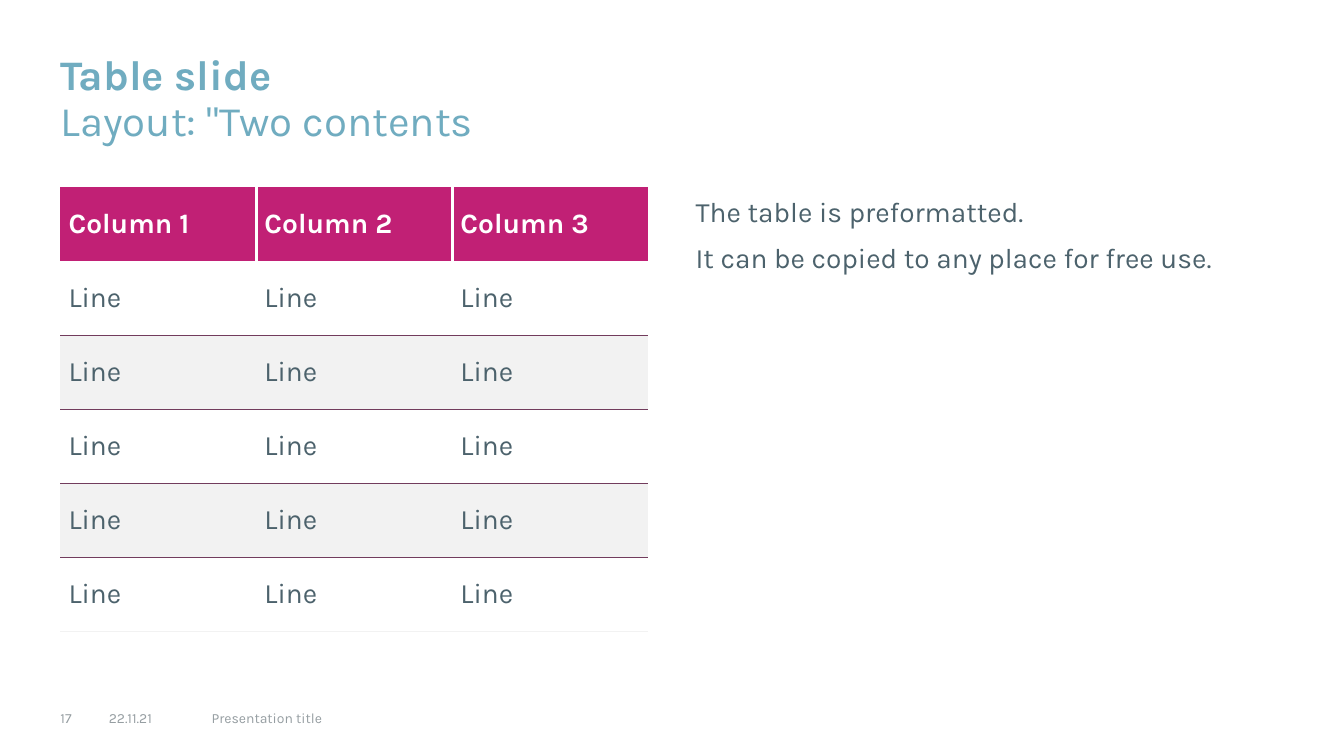
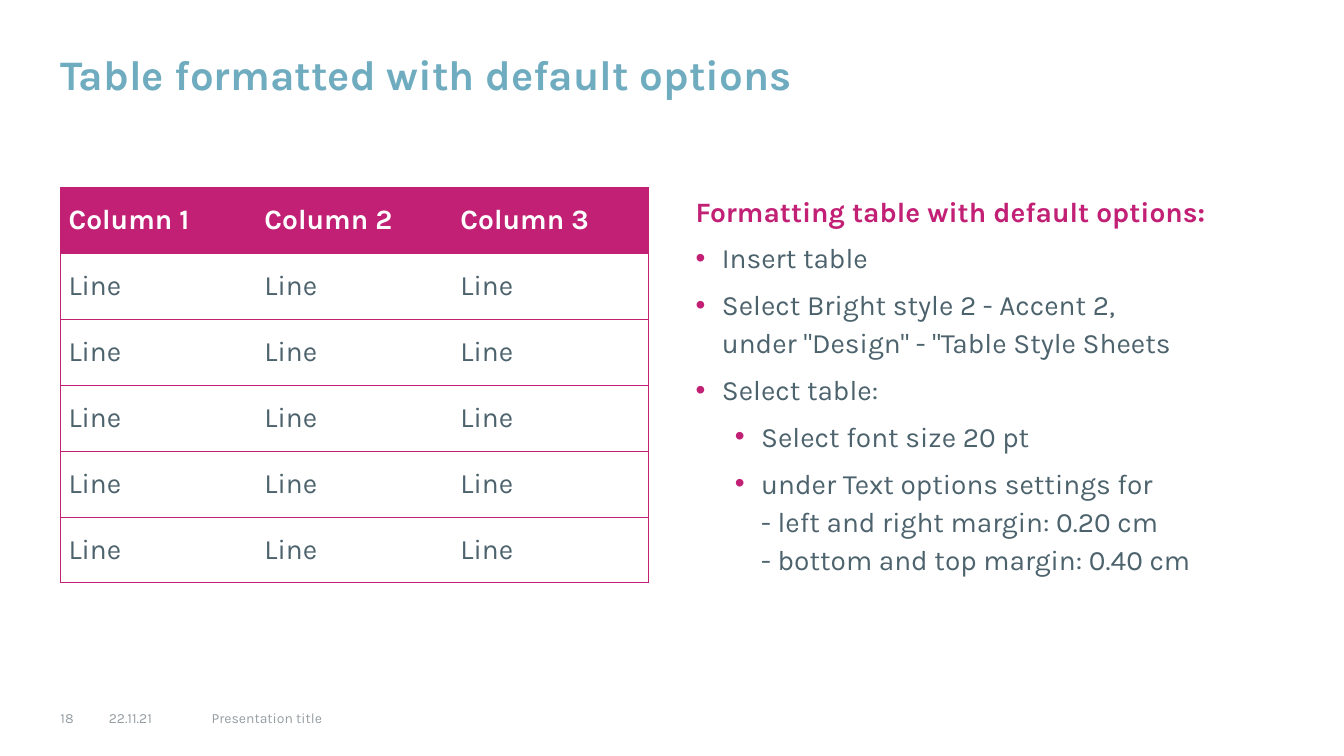
from lxml import etree
from pptx import Presentation
from pptx import util as u
from pptx.dml.color import RGBColor
from pptx.enum import text
from pptx.oxml import ns

COLORS = {
    "title": "70ACC0",
    "accent": "C12075",
    "body": "4C626C",
    "footer": "969EA2",
    "rule": "723C5D",
    "band": "F2F2F2",
    "white": "FFFFFF",
}
FONT = "Karla"
LEFT, CONTENT_TOP, COLUMN_WIDTH = 0.6, 1.86, 5.83
HEADERS = ["Column 1", "Column 2", "Column 3"]
BODY_ROWS = 5
BULLET_INDENT = 0.26


def style_run(r, size, color, bold=False):
    """Set the font, size, colour and weight of a run."""
    r.font.name = FONT
    r.font.size = u.Pt(size)
    r.font.bold = bold
    r.font.color.rgb = RGBColor.from_string(COLORS[color])


def add_text_frame(s, left, top, width, height, inset_top=0.02):
    """Add a wrapping text box and return its text frame."""
    sp = s.shapes.add_textbox(*map(u.Inches, (left, top, width, height)))
    tf = sp.text_frame
    tf.word_wrap = True
    tf.margin_left = tf.margin_right = tf.margin_bottom = 0
    tf.margin_top = u.Inches(inset_top)
    return tf


def add_title(s, title):
    """Add a title whose first line is bold."""
    p = add_text_frame(s, LEFT, 0.52, 10.87, 0.94).paragraphs[0]
    p.text = title
    p.line_spacing = 0.9
    for i, r in enumerate(p.runs):
        style_run(r, 30, "title", bold=i == 0)


def add_footer(s, number):
    """Add the slide number, date and presentation title."""
    items = [(LEFT, 0.31, str(number)), (1.08, 0.87, "22.11.21"), (2.1, 4.72, "Presentation title")]
    for left, width, label in items:
        p = add_text_frame(s, left, 6.98, width, 0.24, inset_top=0.06).paragraphs[0]
        p.text = label
        style_run(p.runs[0], 10, "footer")


def add_bullet(p, indent):
    """Give a paragraph a coloured bullet with a hanging indent."""
    pPr = p._p.get_or_add_pPr()
    pPr.set("marL", str(u.Inches(indent)))
    pPr.set("indent", str(-u.Inches(BULLET_INDENT)))
    buClr = etree.SubElement(pPr, ns.qn("a:buClr"))
    etree.SubElement(buClr, ns.qn("a:srgbClr"), val=COLORS["accent"])
    etree.SubElement(pPr, ns.qn("a:buFont"), typeface="Arial")
    etree.SubElement(pPr, ns.qn("a:buChar"), char="•")


def add_body(s, paragraphs):
    """Add the right column from (kind, text) pairs."""
    indents = {"bullet": BULLET_INDENT, "sub": 0.65}
    tf = add_text_frame(s, 6.9, CONTENT_TOP, COLUMN_WIDTH, 4.65)
    for i, (kind, content) in enumerate(paragraphs):
        p = tf.add_paragraph() if i else tf.paragraphs[0]
        p.text = content
        p.line_spacing = 1.14
        if i:
            p.space_before = u.Pt(6)
        if kind in indents:
            p.level = 2 if kind == "sub" else 1
            add_bullet(p, indents[kind])
        heading = kind == "heading"
        for r in p.runs:
            style_run(r, 20, "accent" if heading else "body", bold=heading)


def set_border(cell, side, line):
    """Draw one cell edge from a (colour, points) pair, or clear it."""
    color, width = line or (None, 0)
    ln = etree.SubElement(cell._tc.get_or_add_tcPr(), ns.qn(f"a:ln{side}"), w=str(u.Pt(width)))
    if color:
        fill = etree.SubElement(ln, ns.qn("a:solidFill"))
        etree.SubElement(fill, ns.qn("a:srgbClr"), val=COLORS[color])
    else:
        etree.SubElement(ln, ns.qn("a:noFill"))


def style_cell(cell, content, fill, header, margin):
    """Set the text, margins and fill of a table cell."""
    cell.margin_left = cell.margin_right = u.Inches(0.08)
    cell.margin_top = cell.margin_bottom = u.Inches(margin)
    cell.vertical_anchor = text.MSO_ANCHOR.MIDDLE
    if fill:
        cell.fill.solid()
        cell.fill.fore_color.rgb = RGBColor.from_string(COLORS[fill])
    else:
        cell.fill.background()
    cell.text = content
    style_run(cell.text_frame.paragraphs[0].runs[0], 20, "white" if header else "body", bold=header)


def add_line_table(s, row_height, margin, h_lines, header_lines, body_lines, band=None):
    """Add the table, with its edges given by grid line."""
    rows, cols = BODY_ROWS + 1, len(HEADERS)
    box = (LEFT, CONTENT_TOP, COLUMN_WIDTH, row_height * rows)
    tbl = s.shapes.add_table(rows, cols, *map(u.Inches, box)).table
    tbl.horz_banding = False
    for i in range(rows):
        header = i == 0
        fill = "accent" if header else band if i % 2 == 0 else None
        v_lines = header_lines if header else body_lines
        for j, label in enumerate(HEADERS):
            cell = tbl.cell(i, j)
            edges = zip("LRTB", (v_lines[j], v_lines[j + 1], h_lines[i], h_lines[i + 1]))
            for side, line in edges:
                set_border(cell, side, line)
            style_cell(cell, label if header else "Line", fill, header, margin)


def add_slide(prs, number, title, body):
    """Add a slide with title, right column and footer."""
    s = prs.slides.add_slide(prs.slide_layouts[6])
    add_title(s, title)
    add_body(s, body)
    add_footer(s, number)
    return s


def main():
    """Build and save the presentation."""
    prs = Presentation()
    prs.slide_width, prs.slide_height = u.Inches(13.33), u.Inches(7.5)

    s = add_slide(prs, 17, 'Table slide\vLayout: "Two contents', [
        ("plain", "The table is preformatted."),
        ("plain", "It can be copied to any place for free use."),
    ])
    gap = ("white", 3)
    add_line_table(
        s, 0.72, 0.2,
        h_lines=[None, None] + [("rule", 0.75)] * (BODY_ROWS - 1) + [("band", 0.75)],
        header_lines=[None, gap, gap, None],
        body_lines=[None] * 4,
        band="band",
    )

    s = add_slide(prs, 18, "Table formatted with default options", [
        ("heading", "Formatting table with default options:"),
        ("bullet", "Insert table"),
        ("bullet", 'Select Bright style 2 - Accent 2,\vunder "Design" - "Table Style Sheets'),
        ("bullet", "Select table:"),
        ("sub", "Select font size 20 pt"),
        ("sub", "under Text options settings for\v- left and right margin: 0.20 cm\v"
                "- bottom and top margin: 0.40 cm"),
    ])
    thin = ("accent", 0.5)
    frame = [thin, None, None, thin]
    add_line_table(
        s, 0.64, 0.16,
        h_lines=[thin] * (BODY_ROWS + 2),
        header_lines=frame,
        body_lines=frame,
    )

    prs.save("out.pptx")


if __name__ == "__main__":
    main()
